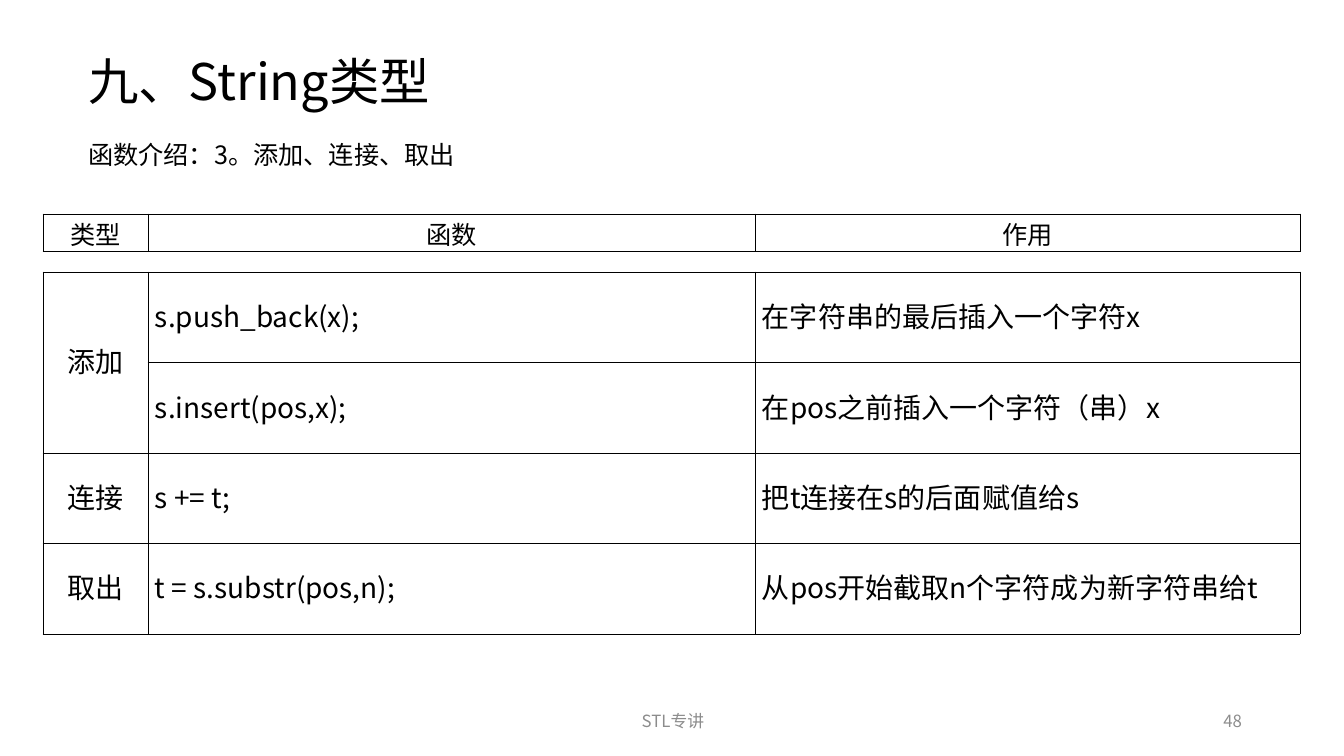
from lxml.etree import SubElement
from pptx import Presentation
from pptx.dml.color import RGBColor
from pptx.enum.text import MSO_ANCHOR, MSO_AUTO_SIZE, PP_ALIGN
from pptx.oxml.ns import qn
from pptx.util import Pt

# Content
TITLE = "九、String类型"
SUBTITLE = "函数介绍：3。添加、连接、取出"
HEADER = [("类型", "函数", "作用")]
FUNCTIONS = [
    ("添加", "s.push_back(x);", "在字符串的最后插入一个字符x"),
    ("", "s.insert(pos,x);", "在pos之前插入一个字符（串）x"),
    ("连接", "s += t;", "把t连接在s的后面赋值给s"),
    ("取出", "t = s.substr(pos,n);", "从pos开始截取n个字符成为新字符串给t"),
]
FOOTER = "STL专讲"
PAGE = "48"

# Layout in px
FONT, BLACK, GREY = "Noto Sans CJK SC", "000000", "8C8C8C"
TABLE_LEFT, COLUMNS = 43, (105, 607, 545)
FIRST_LINE = 6


def px(length):
    return round(length * 914400 / 100.8)


def colour(value):
    return RGBColor.from_string(value)


def style(paragraph, size, tint=BLACK, align=PP_ALIGN.LEFT, indent=0):
    paragraph.alignment = align
    paragraph.space_before = Pt(0)
    properties = paragraph._p.get_or_add_pPr()
    properties.set("marL", "0")
    properties.set("indent", str(px(indent)))
    SubElement(properties, qn("a:buNone"))
    font = paragraph.font
    font.size, font.name = Pt(size), FONT
    font.color.rgb = colour(tint)
    SubElement(font._element, qn("a:ea"), typeface=FONT)


def write(shape, text, box, size, anchor=MSO_ANCHOR.TOP, **look):
    shape.left, shape.top, shape.width, shape.height = map(px, box)
    frame = shape.text_frame
    frame.text = text
    frame.word_wrap = True
    frame.auto_size = MSO_AUTO_SIZE.NONE
    frame.vertical_anchor = anchor
    style(frame.paragraphs[0], size, **look)


def add_border(cell):
    properties = cell._tc.get_or_add_tcPr()
    for place, side in enumerate(("a:lnL", "a:lnR", "a:lnT", "a:lnB")):
        line = SubElement(properties, qn(side), w=str(Pt(0.5)))
        fill = SubElement(line, qn("a:solidFill"))
        SubElement(fill, qn("a:srgbClr"), val=BLACK)
        properties.insert(place, line)


def add_grid(slide, rows, top, height, size, bottom, centred):
    grid = slide.shapes.add_table(len(rows), len(COLUMNS), px(TABLE_LEFT), px(top),
                                  px(sum(COLUMNS)), px(height)).table
    grid.first_row = grid.horz_banding = False
    for column, width in zip(grid.columns, COLUMNS):
        column.width = px(width)
    for r, row in enumerate(rows):
        for c, text in enumerate(row):
            cell = grid.cell(r, c)
            cell.text = text
            cell.fill.background()
            cell.vertical_anchor = MSO_ANCHOR.MIDDLE
            cell.margin_left = cell.margin_right = cell.margin_top = px(1)
            cell.margin_bottom = px(bottom)
            middle = c in centred
            style(cell.text_frame.paragraphs[0], size,
                  align=PP_ALIGN.CENTER if middle else PP_ALIGN.LEFT,
                  indent=0 if middle else FIRST_LINE)
            add_border(cell)
    return grid


def main():
    deck = Presentation()
    deck.slide_width, deck.slide_height = px(1344), px(756)
    slide = deck.slides.add_slide(deck.slide_layouts[1])

    # Title and subtitle
    title, subtitle = slide.placeholders
    write(title, TITLE, (78, 45, 740, 72), 36)
    write(subtitle, SUBTITLE, (78, 134, 544, 40), 18)

    # Header strip and function table
    add_grid(slide, HEADER, 214, 32, 18, 0, centred=(0, 1, 2))
    functions = add_grid(slide, FUNCTIONS, 272, 362, 20, 5, centred=(0,))
    functions.cell(0, 0).merge(functions.cell(1, 0))

    # Footer and page number
    for text, box, align in ((FOOTER, (446, 701, 454, 40), PP_ALIGN.CENTER),
                             (PAGE, (950, 701, 302, 40), PP_ALIGN.RIGHT)):
        note = slide.shapes.add_textbox(0, 0, 0, 0)
        write(note, text, box, 12, MSO_ANCHOR.MIDDLE, tint=GREY, align=align)

    deck.save("out.pptx")


if __name__ == "__main__":
    main()
